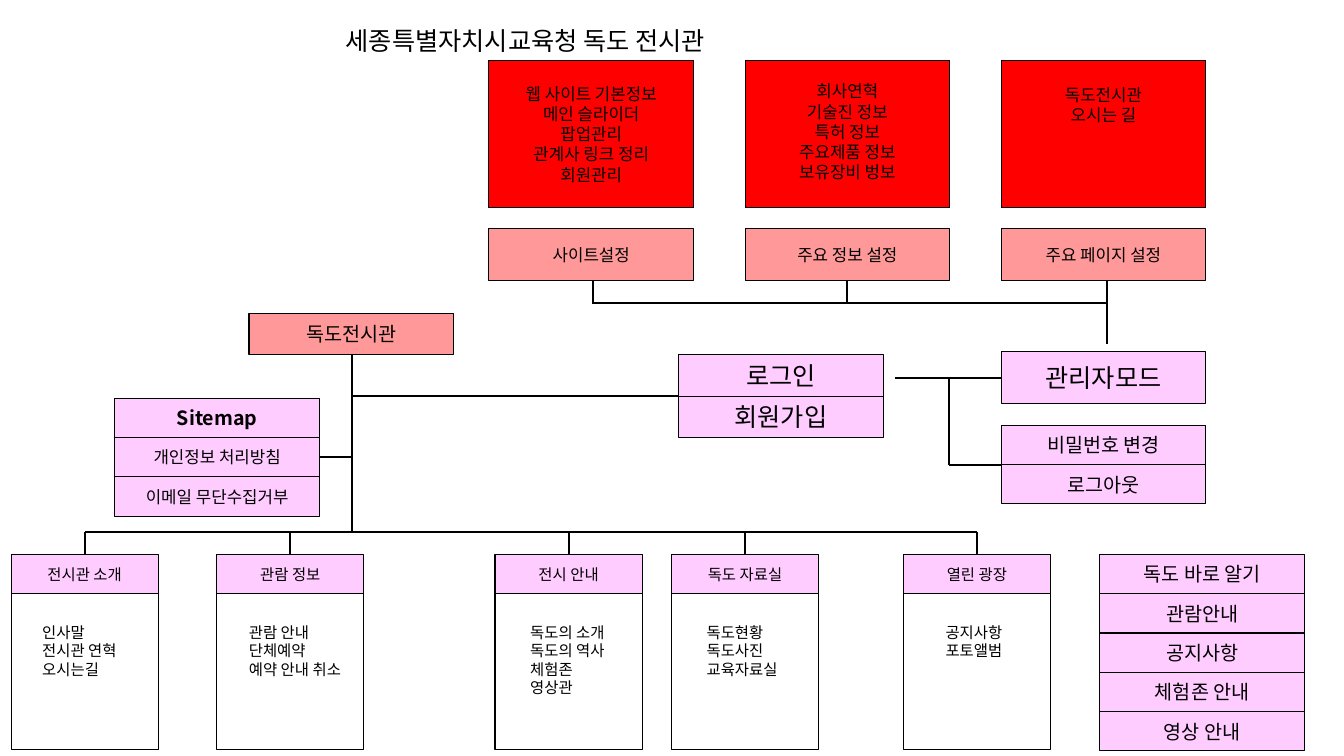
from lxml import etree
from pptx import Presentation
from pptx.dml.color import RGBColor
from pptx.enum.shapes import MSO_CONNECTOR, MSO_SHAPE
from pptx.enum.text import MSO_ANCHOR, PP_ALIGN
from pptx.oxml.ns import qn
from pptx.util import Inches, Pt

COLORS = {"black": "000000", "red": "FF0000", "salmon": "FF9999", "pink": "FFCCFF"}
FONT = "Noto Sans CJK KR"
BOX_W, ROW_H = 2.03, 0.39
MENU_W, MENU_TOP, BUS_Y = 1.46, 5.5, 5.28
TRUNK_X = 3.49


class Sitemap:
    """Holds the drawing style and the current slide."""

    def __init__(self, slide):
        """Draw on the given slide."""
        self.slide = slide

    def color(self, name):
        """Look up a palette colour."""
        return RGBColor.from_string(COLORS[name])

    def set_lines(self, frame, lines, size, align, anchor, bold=False):
        """Fill a text frame with one paragraph per line."""
        frame.word_wrap = True
        frame.vertical_anchor = anchor
        for i, line in enumerate(lines):
            para = frame.paragraphs[0] if i == 0 else frame.add_paragraph()
            para.alignment = align
            run = para.add_run()
            run.text = line
            font = run.font
            font.name, font.size, font.bold = FONT, Pt(size), bold
            font.color.rgb = self.color("black")
            etree.SubElement(run._r.get_or_add_rPr(), qn("a:ea")).set("typeface", FONT)

    def box(self, x, y, w, h, fill=None, lines=(), size=12, bold=False,
            anchor=MSO_ANCHOR.MIDDLE, inset=0.05):
        """Add an outlined rectangle with centred text."""
        shape = self.slide.shapes.add_shape(
            MSO_SHAPE.RECTANGLE, Inches(x), Inches(y), Inches(w), Inches(h))
        shape.shadow.inherit = False
        if fill:
            shape.fill.solid()
            shape.fill.fore_color.rgb = self.color(fill)
        else:
            shape.fill.background()
        shape.line.color.rgb = self.color("black")
        shape.line.width = Pt(0.75)
        shape.text_frame.margin_top = Inches(inset)
        self.set_lines(shape.text_frame, lines, size, PP_ALIGN.CENTER, anchor, bold)

    def stack(self, x, y, labels, size, h=ROW_H):
        """Add pink boxes one directly below another."""
        for i, label in enumerate(labels):
            self.box(x, y + i * h, BOX_W, h, "pink", [label], size)

    def text(self, x, y, w, h, lines, size, align=PP_ALIGN.LEFT, anchor=MSO_ANCHOR.TOP):
        """Add a plain text box."""
        area = self.slide.shapes.add_textbox(Inches(x), Inches(y), Inches(w), Inches(h))
        self.set_lines(area.text_frame, lines, size, align, anchor)

    def line(self, x1, y1, x2, y2):
        """Add a straight black connector."""
        link = self.slide.shapes.add_connector(
            MSO_CONNECTOR.STRAIGHT, Inches(x1), Inches(y1), Inches(x2), Inches(y2))
        link.line.color.rgb = self.color("black")
        link.line.width = Pt(1.5)
        etree.SubElement(link._element.spPr, qn("a:effectLst"))


def draw_admin(page):
    """Draw the settings boxes and the administrator branch."""
    settings = [
        ("사이트설정", ["웹 사이트 기본정보", "메인 슬라이더", "팝업관리", "관계사 링크 정리", "회원관리"],
         MSO_ANCHOR.MIDDLE, 0.05),
        ("주요 정보 설정", ["회사연혁", "기술진 정보", "특허 정보", "주요제품 정보", "보유장비 벙보"],
         MSO_ANCHOR.MIDDLE, 0),
        ("주요 페이지 설정", ["독도전시관", "오시는 길"], MSO_ANCHOR.TOP, 0.24),
    ]
    for i, (label, details, anchor, inset) in enumerate(settings):
        x = 4.85 + i * 2.54
        page.box(x, 0.6, BOX_W, 1.46, "red", details, anchor=anchor, inset=inset)
        page.box(x, 2.27, BOX_W, 0.51, "salmon", [label])
    for x, end in ((5.88, 3.01), (8.4, 3.01), (10.98, 3.41)):
        page.line(x, 2.79, x, end)
    page.line(5.87, 3.01, 10.98, 3.01)

    page.stack(9.93, 3.49, ["관리자모드"], 18, h=0.51)
    page.stack(9.93, 4.22, ["비밀번호 변경", "로그아웃"], 14)
    page.line(8.88, 3.75, 9.93, 3.75)
    page.line(9.41, 3.75, 9.41, 4.61)
    page.line(9.41, 4.61, 9.93, 4.61)


def draw_home(page):
    """Draw the home box with its login and policy branches."""
    page.box(2.47, 3.11, BOX_W, 0.41, "salmon", ["독도전시관"], 14)
    page.line(TRUNK_X, 3.52, TRUNK_X, BUS_Y)
    page.stack(6.73, 3.52, ["로그인", "회원가입"], 18, h=0.41)
    page.line(TRUNK_X, 3.93, 6.73, 3.93)
    page.box(1.14, 3.95, BOX_W, ROW_H, "pink", ["Sitemap"], 14, bold=True)
    page.stack(1.14, 3.95 + ROW_H, ["개인정보 처리방침", "이메일 무단수집거부"], 12)
    page.line(3.17, 4.53, TRUNK_X, 4.53)


def draw_menus(page):
    """Draw the main menus, their items and the quick links."""
    menus = [
        (0.11, 0.32, "전시관 소개", ["인사말", "전시관 연혁", "오시는길"]),
        (2.15, 2.37, "관람 정보", ["관람 안내", "단체예약", "예약 안내 취소"]),
        (4.91, 5.16, "전시 안내", ["독도의 소개", "독도의 역사", "체험존", "영상관"]),
        (6.66, 6.91, "독도 자료실", ["독도현황", "독도사진", "교육자료실"]),
        (8.96, 9.28, "열린 광장", ["공지사항", "포토앨범"]),
    ]
    centers = [x + MENU_W / 2 for x, *_ in menus]
    page.line(centers[0], BUS_Y, centers[-1], BUS_Y)
    for center, (x, text_x, title, items) in zip(centers, menus):
        page.box(x, MENU_TOP, MENU_W, ROW_H, "pink", [title], 11)
        page.box(x, MENU_TOP + ROW_H, MENU_W, 1.55)
        page.line(center, BUS_Y, center, MENU_TOP)
        page.text(text_x, 6.13, 1.24, 0.1 + 0.19 * len(items), items, 11)
    page.stack(10.91, MENU_TOP,
               ["독도 바로 알기", "관람안내", "공지사항", "체험존 안내", "영상 안내"], 14)


def main():
    """Build and save the site map slide."""
    deck = Presentation()
    deck.slide_width, deck.slide_height = Inches(13.33), Inches(7.5)
    page = Sitemap(deck.slides.add_slide(deck.slide_layouts[6]))
    page.text(3.03, 0.2, 4.36, 0.4, ["세종특별자치시교육청 독도 전시관"], 18,
              PP_ALIGN.CENTER, MSO_ANCHOR.MIDDLE)
    draw_admin(page)
    draw_home(page)
    draw_menus(page)
    deck.save("out.pptx")


main()
